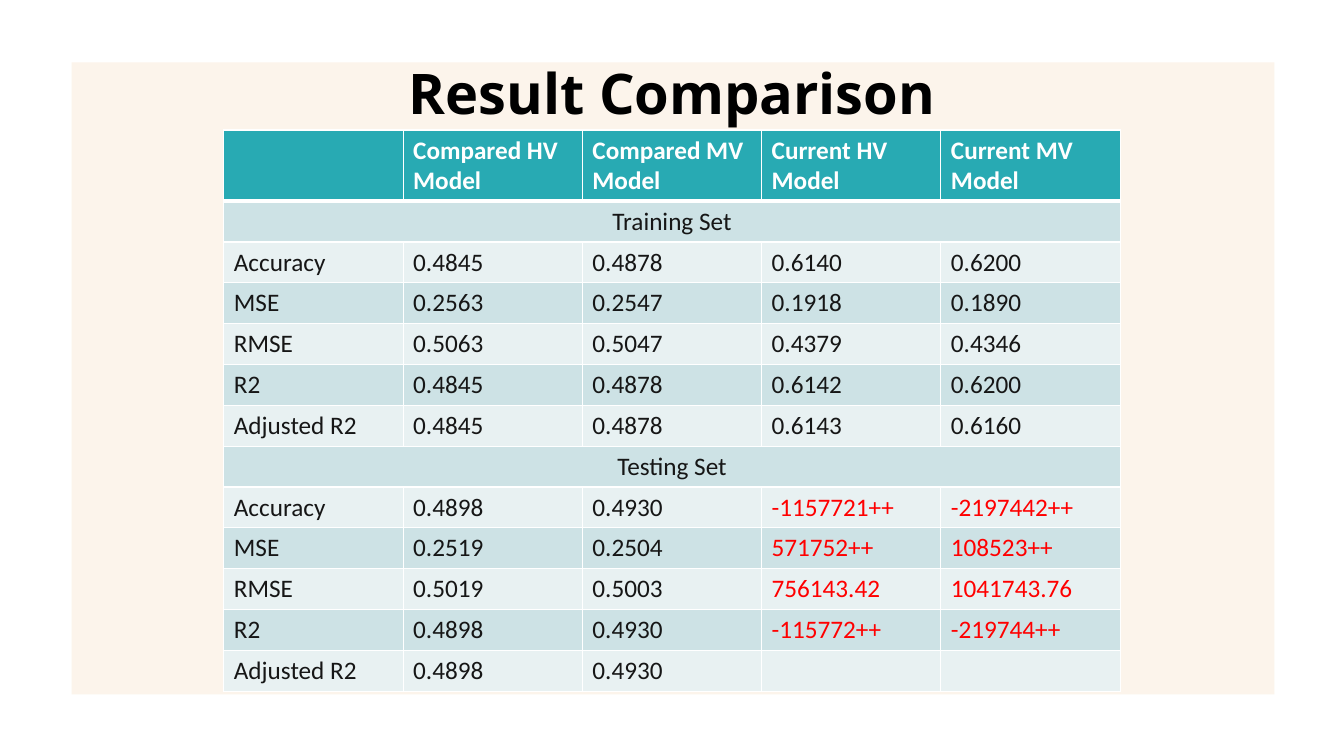
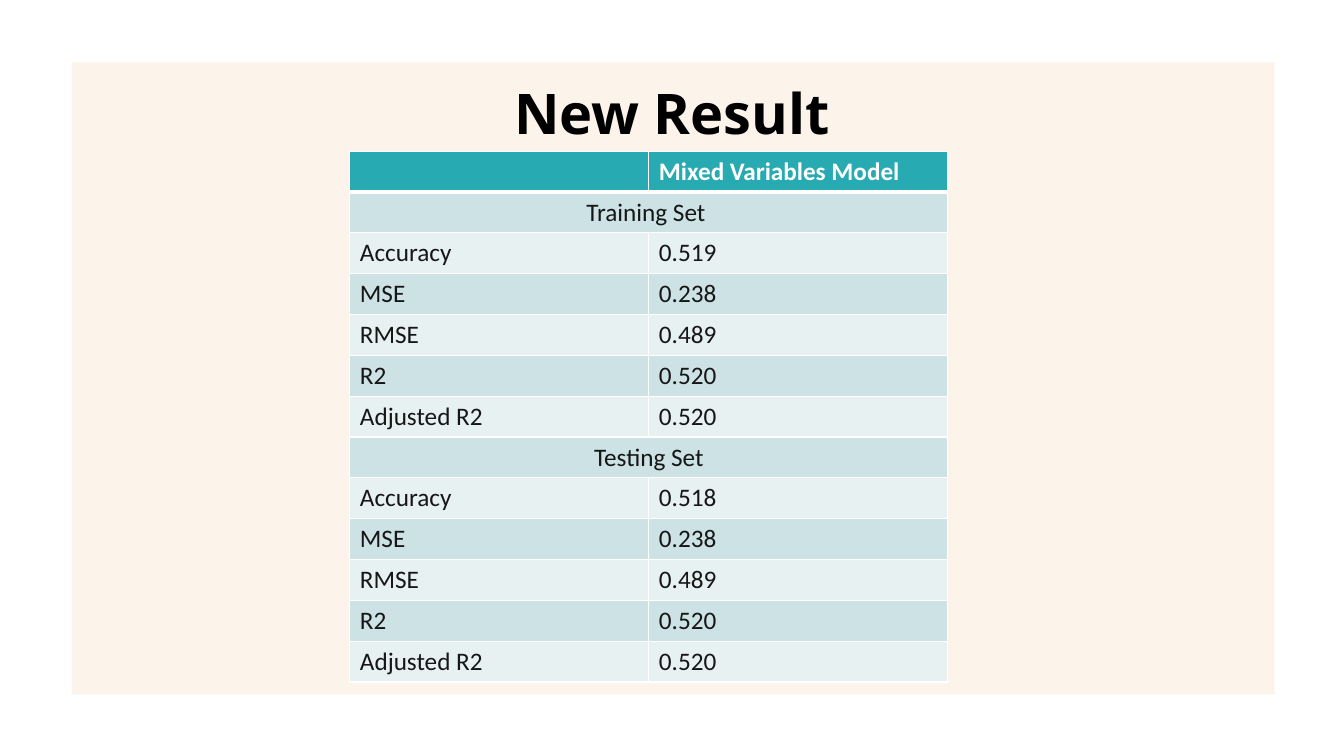
from lxml import etree
from pptx import Presentation
from pptx.dml.color import RGBColor as RGB
from pptx.enum.shapes import MSO_SHAPE as SHAPE
from pptx.enum.text import MSO_ANCHOR as ANCHOR, PP_ALIGN as ALIGN
from pptx.oxml.ns import qn
from pptx.util import Inches, Pt

# Shared look
WHITE = RGB(0xFF, 0xFF, 0xFF)
BLACK = RGB(0x00, 0x00, 0x00)
CREAM = RGB(0xFC, 0xF4, 0xEB)
TEAL = RGB(0x28, 0xAA, 0xB3)
BAND_DARK = RGB(0xCD, 0xE2, 0xE5)
BAND_LIGHT = RGB(0xE8, 0xF1, 0xF2)
INK = RGB(0x16, 0x16, 0x16)
RED = RGB(0xFF, 0x00, 0x00)
TITLE_FONT, TABLE_FONT = "Open Sans", "Calibri"

SLIDE_W, SLIDE_H = Inches(13.33), Inches(7.5)
PANEL = (Inches(0.71), Inches(0.62), Inches(11.93), Inches(6.27))
TITLE_H = Inches(0.77)
ROW_H = Inches(5.27) // 13

# Table contents: one label per metric, one value per model
METRICS = ["Accuracy", "MSE", "RMSE", "R2", "Adjusted R2"]
COMPARISON_HEADS = ["Compared HV Model", "Compared MV Model",
                    "Current HV Model", "Current MV Model"]
COMPARISON = {
    "Training Set": [
        ["0.4845", "0.4878", "0.6140", "0.6200"],
        ["0.2563", "0.2547", "0.1918", "0.1890"],
        ["0.5063", "0.5047", "0.4379", "0.4346"],
        ["0.4845", "0.4878", "0.6142", "0.6200"],
        ["0.4845", "0.4878", "0.6143", "0.6160"],
    ],
    "Testing Set": [
        ["0.4898", "0.4930", "-1157721++", "-2197442++"],
        ["0.2519", "0.2504", "571752++", "108523++"],
        ["0.5019", "0.5003", "756143.42", "1041743.76"],
        ["0.4898", "0.4930", "-115772++", "-219744++"],
        ["0.4898", "0.4930", "", ""],
    ],
}
NEW_HEADS = ["Mixed Variables Model"]
NEW_RESULT = {
    "Training Set ": [["0.519"], ["0.238"], ["0.489"], ["0.520"], ["0.520"]],
    "Testing Set": [["0.518"], ["0.238"], ["0.489"], ["0.520"], ["0.520"]],
}


def add_run(p, text, font, size, color, bold=False):
    r = p.add_run()
    r.text = text
    r.font.name, r.font.size, r.font.bold = font, Pt(size), bold
    r.font.color.rgb = color


def add_panel(slide, box):
    sp = slide.shapes.add_shape(SHAPE.RECTANGLE, *box)
    sp.shadow.inherit = False
    sp.fill.solid()
    sp.fill.fore_color.rgb = CREAM
    sp.line.fill.background()


def add_title(slide, box, text):
    tf = slide.shapes.add_textbox(*box).text_frame
    tf.word_wrap = True
    tf.vertical_anchor = ANCHOR.MIDDLE
    tf.margin_top = tf.margin_bottom = 0
    p = tf.paragraphs[0]
    p.alignment = ALIGN.CENTER
    add_run(p, text, TITLE_FONT, 40, BLACK, bold=True)


def set_borders(cell, top, bottom):
    """White borders; the side lines are 1 pt wide."""
    tc_pr = cell._tc.get_or_add_tcPr()
    for side, width in (("L", 1), ("R", 1), ("T", top), ("B", bottom)):
        ln = etree.SubElement(tc_pr, qn(f"a:ln{side}"), w=str(Pt(width)))
        fill = etree.SubElement(ln, qn("a:solidFill"))
        etree.SubElement(fill, qn("a:srgbClr"), val=str(WHITE))


def value_color(text):
    """Red marks scores that ran away beyond the unit range."""
    return RED if abs(float(text.rstrip("+"))) > 1 else INK


def add_results(slide, box, heads, sections):
    # Rows: header, then a full-width section name above its metrics
    rows = [["", *heads]]
    for name, values in sections.items():
        rows.append([name])
        rows += [[metric, *vals] for metric, vals in zip(METRICS, values)]
    n_cols = len(rows[0])

    left, top, width, height = box
    table = slide.shapes.add_table(len(rows), n_cols, *box).table
    table.first_row = table.horz_banding = False
    for col in table.columns:
        col.width = width // n_cols
    for row in table.rows:
        row.height = ROW_H
    table.rows[0].height = height - ROW_H * (len(rows) - 1)

    for i, texts in enumerate(rows):
        is_head, is_section = i == 0, len(texts) == 1
        band = TEAL if is_head else BAND_DARK if i % 2 else BAND_LIGHT
        for j in range(n_cols):
            cell = table.cell(i, j)
            set_borders(cell, 3 if i == 1 else 1, 3 if is_head else 1)
            cell.fill.solid()
            cell.fill.fore_color.rgb = band
        if is_section:
            table.cell(i, 0).merge(table.cell(i, n_cols - 1))
        for j, text in enumerate(texts):
            if not text:
                continue
            p = table.cell(i, j).text_frame.paragraphs[0]
            if is_section:
                p.alignment = ALIGN.CENTER
            color = WHITE if is_head else value_color(text) if j else INK
            add_run(p, text, TABLE_FONT, 18, color, bold=is_head)


def add_result_slide(prs, title, title_top, table_box, heads, sections):
    slide = prs.slides.add_slide(prs.slide_layouts[6])
    add_panel(slide, PANEL)
    add_title(slide, (Inches(0.68), title_top, Inches(11.97), TITLE_H), title)
    add_results(slide, table_box, heads, sections)


def main():
    prs = Presentation()
    prs.slide_width, prs.slide_height = SLIDE_W, SLIDE_H
    add_result_slide(prs, "Result Comparison", Inches(0.53),
                     (Inches(2.22), Inches(1.29), Inches(8.89), Inches(5.57)),
                     COMPARISON_HEADS, COMPARISON)
    add_result_slide(prs, "New Result", Inches(0.73),
                     (Inches(3.47), Inches(1.5), Inches(5.93), Inches(5.27)),
                     NEW_HEADS, NEW_RESULT)
    prs.save("out.pptx")


if __name__ == "__main__":
    main()
